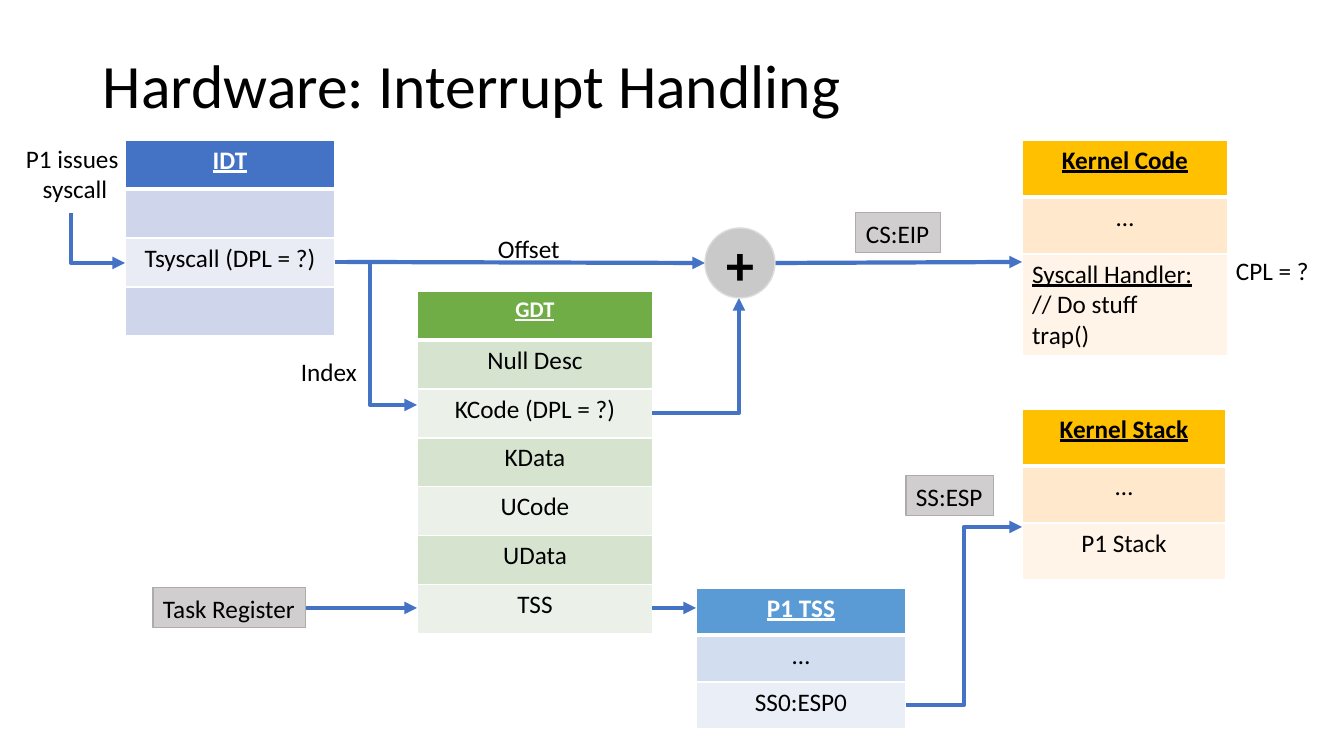
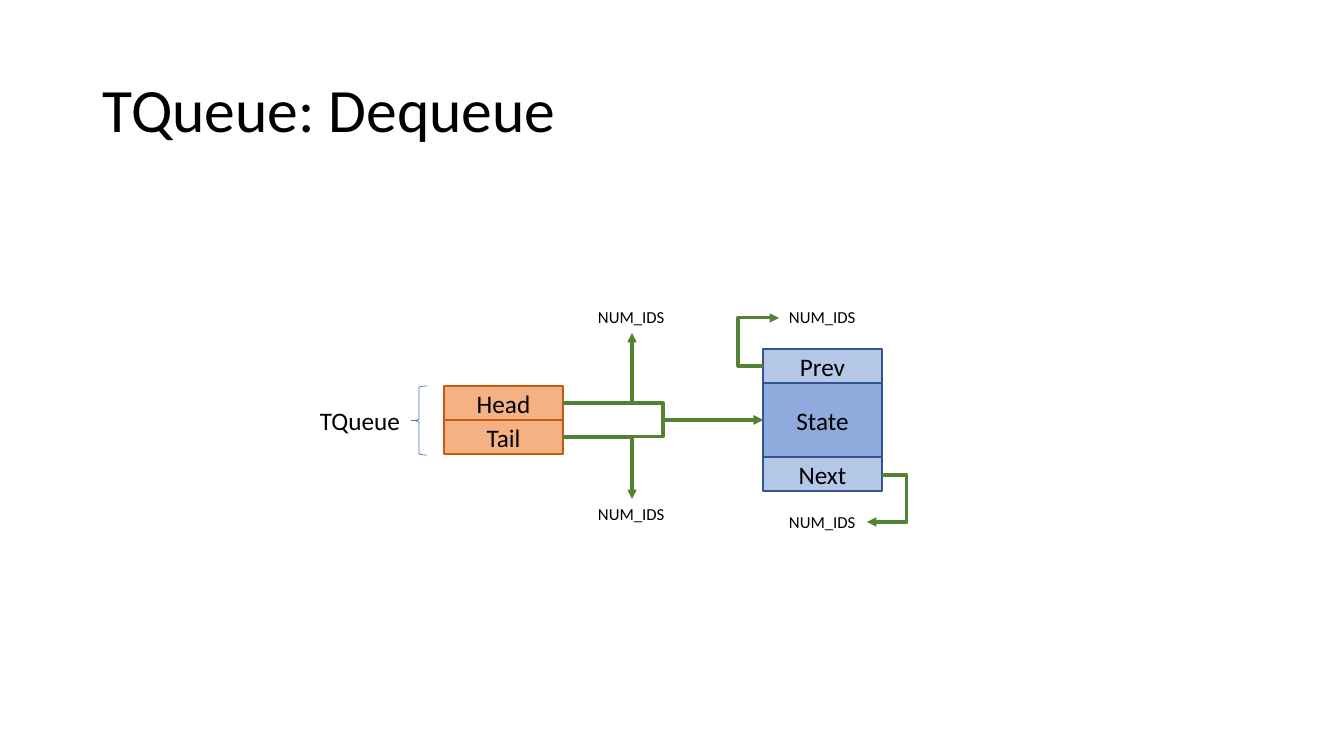
from lxml.etree import SubElement
from pptx import Presentation
from pptx.dml.color import RGBColor
from pptx.enum.shapes import MSO_CONNECTOR, MSO_SHAPE
from pptx.enum.text import MSO_ANCHOR, MSO_AUTO_SIZE, PP_ALIGN
from pptx.oxml.ns import qn
from pptx.util import Emu, Pt

SCALE = 914400 / 100.8
SLIDE_SIZE = (1344, 756)

COLORS = {
    "white": "FFFFFF", "black": "000000", "blue": "4472C4", "green": "548235",
    "grey": "D0CECE", "grey line": "AFABAB", "disc": "C9C9C9", "disc line": "DBDBDB",
    "orange": "F4B183", "orange line": "C55A11",
    "link": "B4C7E7", "link line": "325491", "state": "8FAADC", "state line": "2F5597",
    "idt": "4472C4", "idt dark": "CFD5EA", "idt light": "E9EBF5",
    "gdt": "70AD47", "gdt dark": "D5E3CF", "gdt light": "EBF1E9",
    "kernel": "FFC000", "kernel dark": "FFE8CC", "kernel light": "FFF4E7",
    "tss": "5B9BD5", "tss dark": "D2DEEF", "tss light": "EAEFF7",
}

# Text formats: frame, paragraph and font attributes, with colour and size apart
FIT = {"word_wrap": False, "auto_size": MSO_AUTO_SIZE.SHAPE_TO_FIT_TEXT}
MIDDLE = {"word_wrap": True, "vertical_anchor": MSO_ANCHOR.MIDDLE}
CENTER = {"alignment": PP_ALIGN.CENTER}
FORMATS = {
    "title": {"frame": MIDDLE, "paragraph": {"line_spacing": 0.9}, "size": 44},
    "label": {"frame": FIT, "size": 18},
    "centered label": {"frame": FIT, "paragraph": CENTER, "size": 18},
    "small label": {"frame": FIT, "size": 12},
    "box": {"frame": MIDDLE, "paragraph": CENTER, "size": 18},
    "plus": {"frame": MIDDLE, "paragraph": CENTER, "size": 40, "font": {"bold": True}},
    "cell": {"paragraph": CENTER, "size": 18},
    "left cell": {"size": 18},
}
HEADING = {"bold": True, "underline": True}

# Titles: text, top
TITLES = [("Hardware: Interrupt Handling", 16), ("TQueue: Dequeue", 40)]

# A text is a string, or a list of paragraphs; a paragraph is a string or
# a list of (text, font attributes) runs, with "\v" as a line break.
HANDLER = [
    [("Syscall Handler:", {"underline": True}), ("\v", {}), ("// Do stuff", {})],
    "trap()",
]

# Tables: left, top, width, row heights, palette, heading colour, heading size, cells
TABLES = [
    (417, 291, 236, [49] * 7, "gdt", "white", 16,
     ["GDT", "Null Desc", "KCode (DPL = ?)", "KData", "UCode", "UData", "TSS"]),
    (125, 140, 210, [49] * 4, "idt", "white", 18,
     ["IDT", "", "Tsyscall (DPL = ?)", ""]),
    (1022, 140, 206, [57, 57, 102], "kernel", "black", 18,
     ["Kernel Code", "…", HANDLER]),
    (1022, 409, 204, [57] * 3, "kernel", "black", 18,
     ["Kernel Stack", "…", "P1 Stack"]),
    (696, 588, 210, [47] * 3, "tss", "white", 18,
     ["P1 TSS", "…", "SS0:ESP0"]),
]

# Labels: text, format, left, top, width, height
INTERRUPT_LABELS = [
    ("CPL = ?", "label", 1226, 250, 94, 40),
    ("Offset", "label", 488, 228, 83, 40),
    ("Index", "label", 291, 351, 77, 40),
    (["P1 issues ", "syscall"], "centered label", 15, 138, 120, 72),
]
# Registers: text, left, top, width
REGISTERS = [
    ("CS:EIP", 856, 213, 85),
    ("Task Register", 153, 588, 153),
    ("SS:ESP", 906, 476, 88),
]

# Arrows: start, end, bend; a bend is None (straight), "corner" or the x of the turn
INTERRUPT_ARROWS = [
    ((335, 262), (417, 405), 370),
    ((347, 262), (705, 263), None),
    ((774, 263), (1022, 262), None),
    ((652, 413), (739, 298), "corner"),
    ((306, 608), (417, 608), None),
    ((652, 608), (696, 608), None),
    ((906, 705), (1022, 527), 964),
    ((71, 213), (125, 263), 71),
]
NODE_ARROWS = [
    ((763, 366), (779, 318), 738),
    ((882, 475), (867, 522), 907),
]
QUEUE_ARROWS = [
    ((563, 403), (763, 420), 663),
    ((563, 437), (763, 420), 663),
    ((563, 403), (632, 333), "corner"),
    ((563, 437), (632, 499), "corner"),
]

# Stacked boxes: text, height, palette
QUEUE_BOXES = [("Head", 34, "orange"), ("Tail", 34, "orange")]
NODE_BOXES = [("Prev", 34, "link"), ("State", 74, "state"), ("Next", 34, "link")]
BOX_WIDTH = 119

# Null links: left, top
NODE_ENDS = [(779, 302), (779, 507)]
QUEUE_ENDS = [(588, 302), (588, 499)]


def px(*lengths):
    """Turn pixels into EMU."""
    return [Emu(round(length * SCALE)) for length in lengths]


def color(name):
    """Return the named colour."""
    return RGBColor.from_string(COLORS[name])


def set_attributes(target, values):
    """Set each attribute of a format on its target."""
    for name, value in values.items():
        setattr(target, name, value)


def write(frame, text, style, ink="black", extra=None):
    """Fill a text frame with paragraphs in one of the formats."""
    form = FORMATS[style]
    set_attributes(frame, form.get("frame", {}))
    for index, content in enumerate([text] if isinstance(text, str) else text):
        paragraph = frame.add_paragraph() if index else frame.paragraphs[0]
        set_attributes(paragraph, form.get("paragraph", {}))
        for words, own in [(content, {})] if isinstance(content, str) else content:
            if words == "\v":
                paragraph.add_line_break()
                continue
            run = paragraph.add_run()
            run.text = words
            base = {"name": "Calibri", "size": Pt(form["size"])}
            set_attributes(run.font, {**base, **form.get("font", {}), **(extra or {}), **own})
            run.font.color.rgb = color(ink)


def add_label(shapes, text, style, *bounds):
    """Add a text box without fill."""
    label = shapes.add_textbox(*px(*bounds))
    write(label.text_frame, text, style)


def add_box(shapes, kind, bounds, fill, line, weight, text="", style="box"):
    """Add a preset shape with fill, outline and text."""
    shape = shapes.add_shape(kind, *px(*bounds))
    shape.shadow.inherit = False
    if fill:
        shape.fill.solid()
        shape.fill.fore_color.rgb = color(fill)
    else:
        shape.fill.background()
    shape.line.color.rgb = color(line)
    shape.line.width = Pt(weight)
    if text:
        write(shape.text_frame, text, style)
        if style == "label":
            set_attributes(shape.text_frame, {"vertical_anchor": MSO_ANCHOR.TOP})
            set_attributes(shape.text_frame.paragraphs[0], {"alignment": PP_ALIGN.LEFT})


def add_stack(shapes, left, top, boxes):
    """Add boxes one under another."""
    for text, height, palette in boxes:
        add_box(shapes, MSO_SHAPE.RECTANGLE, (left, top, BOX_WIDTH, height),
                palette, palette + " line", 1, text)
        top += height


def add_arrows(shapes, arrows, ink, weight):
    """Add straight or bent connectors with a triangle at the end."""
    for start, end, bend in arrows:
        kind = MSO_CONNECTOR.STRAIGHT if bend is None else MSO_CONNECTOR.ELBOW
        connector = shapes.add_connector(kind, *px(*start, *end))
        connector.line.color.rgb = color(ink)
        connector.line.width = Pt(weight)
        properties = connector._element.spPr
        SubElement(properties.find(qn("a:ln")), qn("a:tailEnd"), type="triangle")
        SubElement(properties, qn("a:effectLst"))
        geometry = properties.find(qn("a:prstGeom"))
        if bend == "corner":
            geometry.set("prst", "bentConnector2")
        elif bend is not None:
            share = round((bend - start[0]) / (end[0] - start[0]) * 100000)
            guides = geometry.find(qn("a:avLst"))
            SubElement(guides, qn("a:gd"), name="adj1", fmla=f"val {share}")


def set_borders(cell, top, bottom):
    """Give a cell white borders of the given top and bottom weights."""
    properties = cell._tc.get_or_add_tcPr()
    for side, weight in (("L", 1), ("R", 1), ("T", top), ("B", bottom)):
        line = SubElement(properties, qn("a:ln" + side), w=str(Pt(weight)))
        fill = SubElement(line, qn("a:solidFill"))
        SubElement(fill, qn("a:srgbClr"), val=COLORS["white"])


def add_memory_table(shapes, left, top, width, heights, palette, ink, size, cells):
    """Add a one-column table with a heading and banded rows."""
    bounds = px(left, top, width, sum(heights))
    table = shapes.add_table(len(cells), 1, *bounds).table
    set_attributes(table, {"first_row": False, "horz_banding": False})
    for index, (height, text) in enumerate(zip(heights, cells)):
        table.rows[index].height = px(height)[0]
        cell = table.cell(index, 0)
        set_borders(cell, 3 if index == 1 else 1, 1 if index else 3)
        band = (" dark" if index % 2 else " light") if index else ""
        cell.fill.solid()
        cell.fill.fore_color.rgb = color(palette + band)
        if index == 0:
            write(cell.text_frame, text, "cell", ink, {**HEADING, "size": Pt(size)})
        elif text:
            write(cell.text_frame, text, "cell" if isinstance(text, str) else "left cell")


def add_titled_slide(presentation, title, top):
    """Add a blank slide with a title and return its shapes."""
    shapes = presentation.slides.add_slide(presentation.slide_layouts[6]).shapes
    add_label(shapes, title, "title", 93, top, 1159, 146)
    return shapes


def build_interrupt_slide(shapes):
    """Draw the descriptor tables and the paths between them."""
    for table in TABLES:
        add_memory_table(shapes, *table)
    add_arrows(shapes, INTERRUPT_ARROWS, "blue", 3)
    add_box(shapes, MSO_SHAPE.OVAL, (705, 228, 70, 70), "disc", "disc line", 1, "+", "plus")
    for text, left, top, width in REGISTERS:
        add_box(shapes, MSO_SHAPE.RECTANGLE, (left, top, width, 40),
                "grey", "grey line", 0.75, text, "label")
    for label in INTERRUPT_LABELS:
        add_label(shapes, *label)


def add_ends(shapes, places):
    """Add the null link labels."""
    for left, top in places:
        add_label(shapes, "NUM_IDS", "small label", left, top, 88, 31)


def build_queue_slide(shapes):
    """Draw the queue, its node and the links."""
    queue = shapes.add_group_shape().shapes
    add_stack(queue, 444, 386, QUEUE_BOXES)
    add_box(queue, MSO_SHAPE.LEFT_BRACE, (411, 386, 16, 69), None, "blue", 0.5)
    add_label(queue, "TQueue", "label", 310, 400, 102, 40)
    node = shapes.add_group_shape().shapes
    add_stack(node, 763, 349, NODE_BOXES)
    add_ends(node, NODE_ENDS)
    add_arrows(node, NODE_ARROWS, "green", 2.25)
    add_arrows(shapes, QUEUE_ARROWS, "green", 2.25)
    add_ends(shapes, QUEUE_ENDS)


presentation = Presentation()
presentation.slide_width, presentation.slide_height = px(*SLIDE_SIZE)
for heading, build in zip(TITLES, (build_interrupt_slide, build_queue_slide)):
    build(add_titled_slide(presentation, *heading))
presentation.save("out.pptx")
